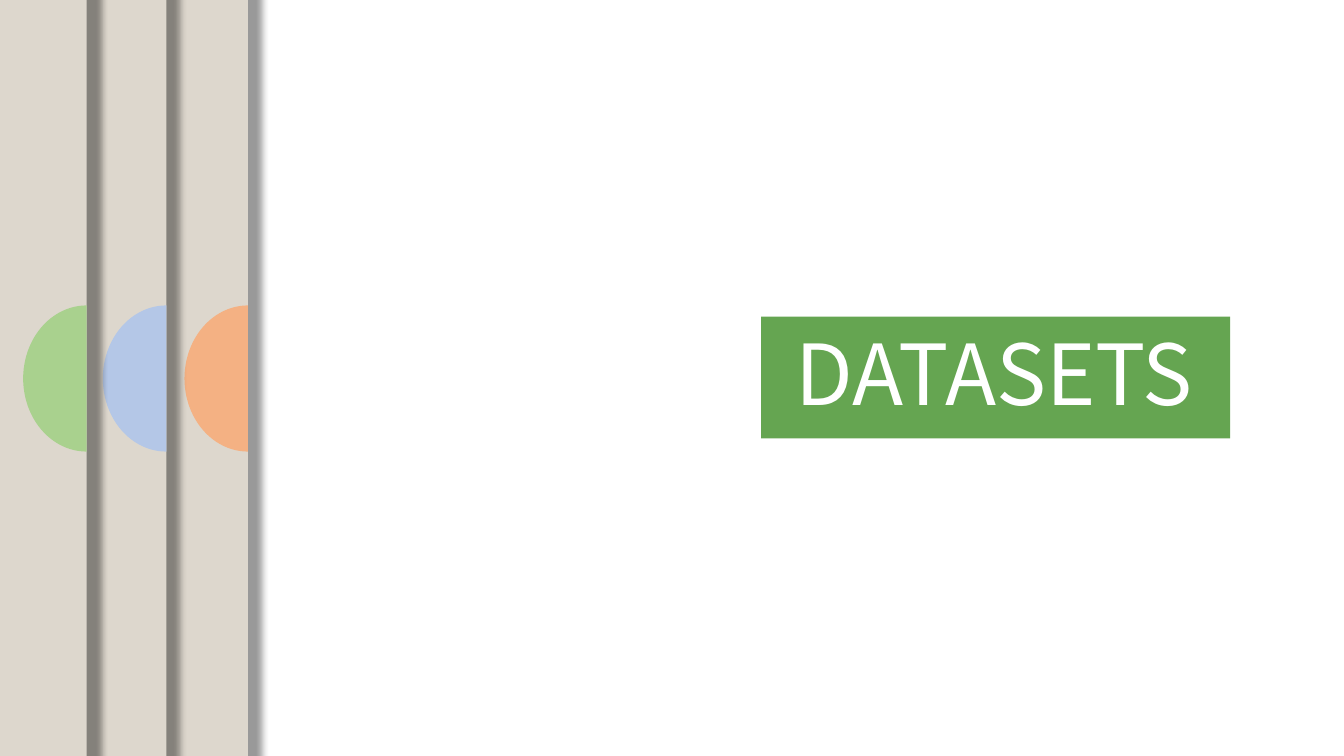
from lxml.etree import SubElement
from pptx import Presentation
from pptx.dml.color import RGBColor
from pptx.enum.shapes import MSO_SHAPE as Shape
from pptx.enum.text import MSO_AUTO_SIZE as AutoSize, PP_ALIGN as Align
from pptx.oxml.ns import qn
from pptx.util import Inches, Pt

# Content
TITLE = "DATASETS"
TABS = [  # right edge of the panel, colour of its half disc; back to front
    (2.46, "orange"),
    (1.65, "blue"),
    (0.86, "green"),
]

THEME = {
    "font": "Noto Sans CJK KR",
    "title_size": 60,
    "title_text": "FFFFFF",
    "banner": "65A551",
    "panel": "DDD7CD",
    "orange": "F4B183",
    "blue": "B4C7E7",
    "green": "A9D18E",
    "shadow": "000000",
}

# Layout
SLIDE_W, SLIDE_H = 13.33, 7.5
DISC_W, DISC_H = 1.26, 1.45
DISC_TOP = 3.03
BANNER = (7.55, 3.14, 4.65, 1.21)
TITLE_BOX = (6.94, 3.14, 5.84, 1.11)


def colour(name):
    return RGBColor.from_string(THEME[name])


def add_filled(group, preset, box, fill):
    part = group.shapes.add_shape(preset, *map(Inches, box))
    part.shadow.inherit = False
    part.fill.solid()
    part.fill.fore_color.rgb = colour(fill)
    part.line.fill.background()
    return part


def add_glow_shadow(part):
    """Centred soft shadow, slightly larger than the part."""
    effects = part.element.spPr.find(qn("a:effectLst"))
    shadow = SubElement(effects, qn("a:outerShdw"), blurRad=str(Pt(5)),
                        sx="102000", sy="102000", algn="ctr", rotWithShape="0")
    tint = SubElement(shadow, qn("a:srgbClr"), val=THEME["shadow"])
    SubElement(tint, qn("a:alpha"), val="40000")


def add_banner(slide):
    group = slide.shapes.add_group_shape()
    add_filled(group, Shape.RECTANGLE, BANNER, "banner")
    title = group.shapes.add_textbox(*map(Inches, TITLE_BOX)).text_frame
    title.word_wrap = True
    title.auto_size = AutoSize.SHAPE_TO_FIT_TEXT
    title.text = TITLE
    line = title.paragraphs[0]
    line.alignment = Align.CENTER
    font = line.runs[0].font
    font.name = THEME["font"]
    font.size = Pt(THEME["title_size"])
    font.color.rgb = colour("title_text")


def add_tab(slide, edge, disc_colour):
    group = slide.shapes.add_group_shape()
    panel = add_filled(group, Shape.RECTANGLE,
                       (edge - SLIDE_W, 0, SLIDE_W, SLIDE_H), "panel")
    add_glow_shadow(panel)
    half_disc = add_filled(group, Shape.PIE,
                           (edge - DISC_W / 2, DISC_TOP, DISC_W, DISC_H), disc_colour)
    # Left half: from 90 to 270 degrees
    half_disc.adjustments[0] = 54
    half_disc.adjustments[1] = 162


def main():
    deck = Presentation()
    deck.slide_width, deck.slide_height = Inches(SLIDE_W), Inches(SLIDE_H)
    slide = deck.slides.add_slide(deck.slide_layouts[6])
    add_banner(slide)
    for edge, disc_colour in TABS:
        add_tab(slide, edge, disc_colour)
    deck.save("out.pptx")


if __name__ == "__main__":
    main()
